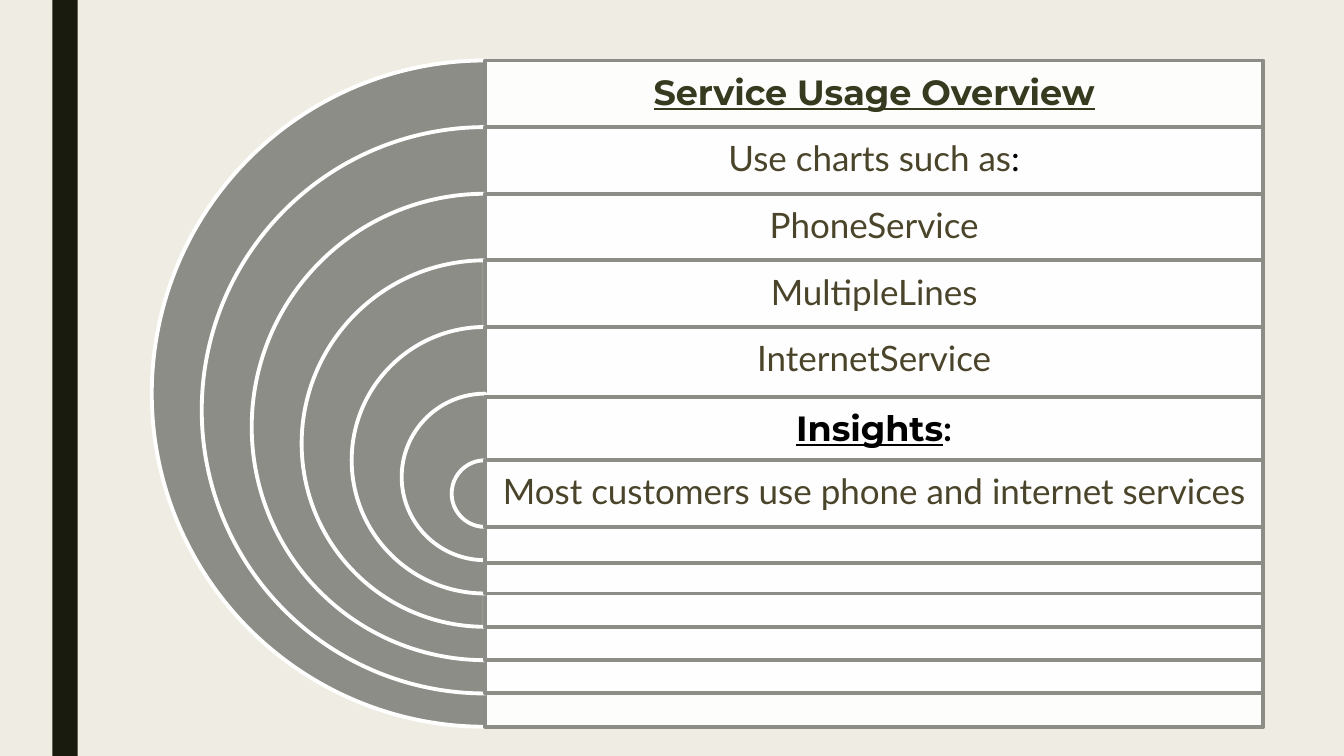
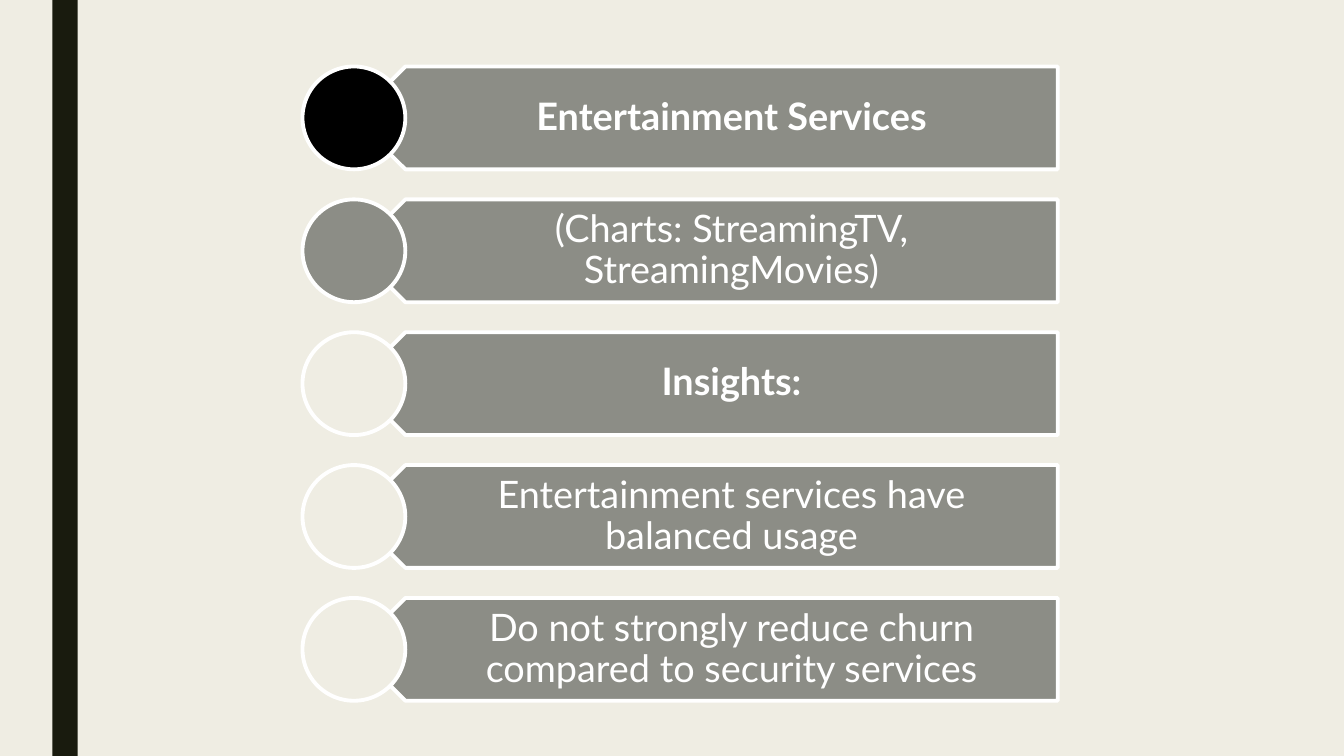
"""Build two slides on service usage: nested half rings and a list of arrow bars."""
from lxml import etree
from pptx import Presentation
from pptx import util as u
from pptx.dml.color import RGBColor
from pptx.enum import shapes, text
from pptx.oxml import ns

BACKGROUND = RGBColor(0xEF, 0xED, 0xE3)
BAND = RGBColor(0x19, 0x1B, 0x0E)
GRAY = RGBColor(0x8C, 0x8D, 0x86)
WHITE = RGBColor(0xFF, 0xFF, 0xFF)
BLACK = RGBColor(0x00, 0x00, 0x00)
OLIVE = RGBColor(0x36, 0x3A, 0x1E)
BROWN = RGBColor(0x4A, 0x45, 0x2A)
BODY_FONT = "Lato"
HEADING_FONT = "Montserrat"


def add_outlined(slide, kind, left, top, width, height, fill, line=None):
    shape = slide.shapes.add_shape(
        kind, u.Inches(left), u.Inches(top), u.Inches(width), u.Inches(height))
    shape.shadow.inherit = False
    shape.fill.solid()
    shape.fill.fore_color.rgb = fill
    if line is None:
        shape.line.fill.background()
    else:
        shape.line.color.rgb = line
        shape.line.width = u.Pt(2.75)
    return shape


def add_label(slide, left, top, width, height, insets, size, runs):
    box = slide.shapes.add_textbox(
        u.Inches(left), u.Inches(top), u.Inches(width), u.Inches(height))
    frame = box.text_frame
    frame.word_wrap = True
    frame.vertical_anchor = text.MSO_ANCHOR.MIDDLE
    frame.margin_left, frame.margin_top, frame.margin_right, frame.margin_bottom = (
        u.Inches(inset) for inset in insets)
    paragraph = frame.paragraphs[0]
    paragraph.alignment = text.PP_ALIGN.CENTER
    paragraph.line_spacing = 0.9
    for words, font_name, color, bold, underline in runs:
        run = paragraph.add_run()
        run.text = words
        run.font.name = font_name
        run.font.size = u.Pt(size)
        run.font.color.rgb = color
        run.font.bold = bold
        run.font.underline = underline


presentation = Presentation()
presentation.slide_width = u.Inches(13.33)
presentation.slide_height = u.Inches(7.5)

slides = []
for _ in range(2):
    slide = presentation.slides.add_slide(presentation.slide_layouts[6])
    slide.background.fill.solid()
    slide.background.fill.fore_color.rgb = BACKGROUND
    add_outlined(slide, shapes.MSO_SHAPE.RECTANGLE, 0.52, 0, 0.25, 7.5, BAND)
    slides.append(slide)
usage_slide, entertainment_slide = slides

RING_CENTER = 4.81
RING_TOP = 0.6
RING_SIZE = 6.61
ROW_HEIGHT = RING_SIZE / 10
PANEL_WIDTH = 7.72
INSIGHTS_ROW = 5
usage_rows = [
    [("Service Usage Overview", HEADING_FONT, OLIVE, True, True)],
    [("Use charts such as", BODY_FONT, BROWN, False, False),
     (":", BODY_FONT, BLACK, False, False)],
    [("PhoneService", BODY_FONT, BROWN, False, False)],
    [("MultipleLines", BODY_FONT, BROWN, False, False)],
    [("InternetService", BODY_FONT, BROWN, False, False)],
    [("Insights", HEADING_FONT, BLACK, True, True),
     (":", BODY_FONT, BLACK, True, False)],
    [("Most customers use phone and internet services", BODY_FONT, BROWN, False, False)],
]
for index, runs in enumerate(usage_rows):
    size = RING_SIZE - index * ROW_HEIGHT * 1.5
    top = RING_TOP + index * ROW_HEIGHT
    ring = add_outlined(usage_slide, shapes.MSO_SHAPE.PIE,
                        RING_CENTER - size / 2, top, size, size, GRAY, WHITE)
    ring.adjustments[0] = 54
    ring.adjustments[1] = 162
    panel_top = top + 0.03 if index == INSIGHTS_ROW else top
    panel = add_outlined(usage_slide, shapes.MSO_SHAPE.RECTANGLE,
                         RING_CENTER, panel_top, PANEL_WIDTH, size, WHITE, GRAY)
    panel_color = panel.fill._xPr.find(ns.qn("a:solidFill"))[0]
    etree.SubElement(panel_color, ns.qn("a:alpha"), val="90000")
    add_label(usage_slide, RING_CENTER, panel_top, PANEL_WIDTH, ROW_HEIGHT,
              (0.1, 0.1, 0.1, 0.1), 25, runs)

BAR_TOP = 0.66
BAR_STEP = 1.318
BAR_HEIGHT = 1.02
entertainment_rows = [
    ("Entertainment Services", True, BLACK),
    ("(Charts: StreamingTV, StreamingMovies)", False, GRAY),
    ("Insights:", True, BACKGROUND),
    ("Entertainment services have balanced usage", False, BACKGROUND),
    ("Do not strongly reduce churn compared to security services", False, BACKGROUND),
]
for index, (words, bold, circle_color) in enumerate(entertainment_rows):
    top = BAR_TOP + index * BAR_STEP
    bar = add_outlined(entertainment_slide, shapes.MSO_SHAPE.PENTAGON,
                       3.51, top, 6.98, BAR_HEIGHT, GRAY, WHITE)
    bar.rotation = 180
    add_label(entertainment_slide, 3.77, top, 6.73, BAR_HEIGHT,
              (0.45, 0.11, 0.21, 0.11), 27, [(words, BODY_FONT, WHITE, bold, False)])
    add_outlined(entertainment_slide, shapes.MSO_SHAPE.OVAL,
                 3, top, BAR_HEIGHT, BAR_HEIGHT, circle_color, WHITE)

presentation.save("out.pptx")
